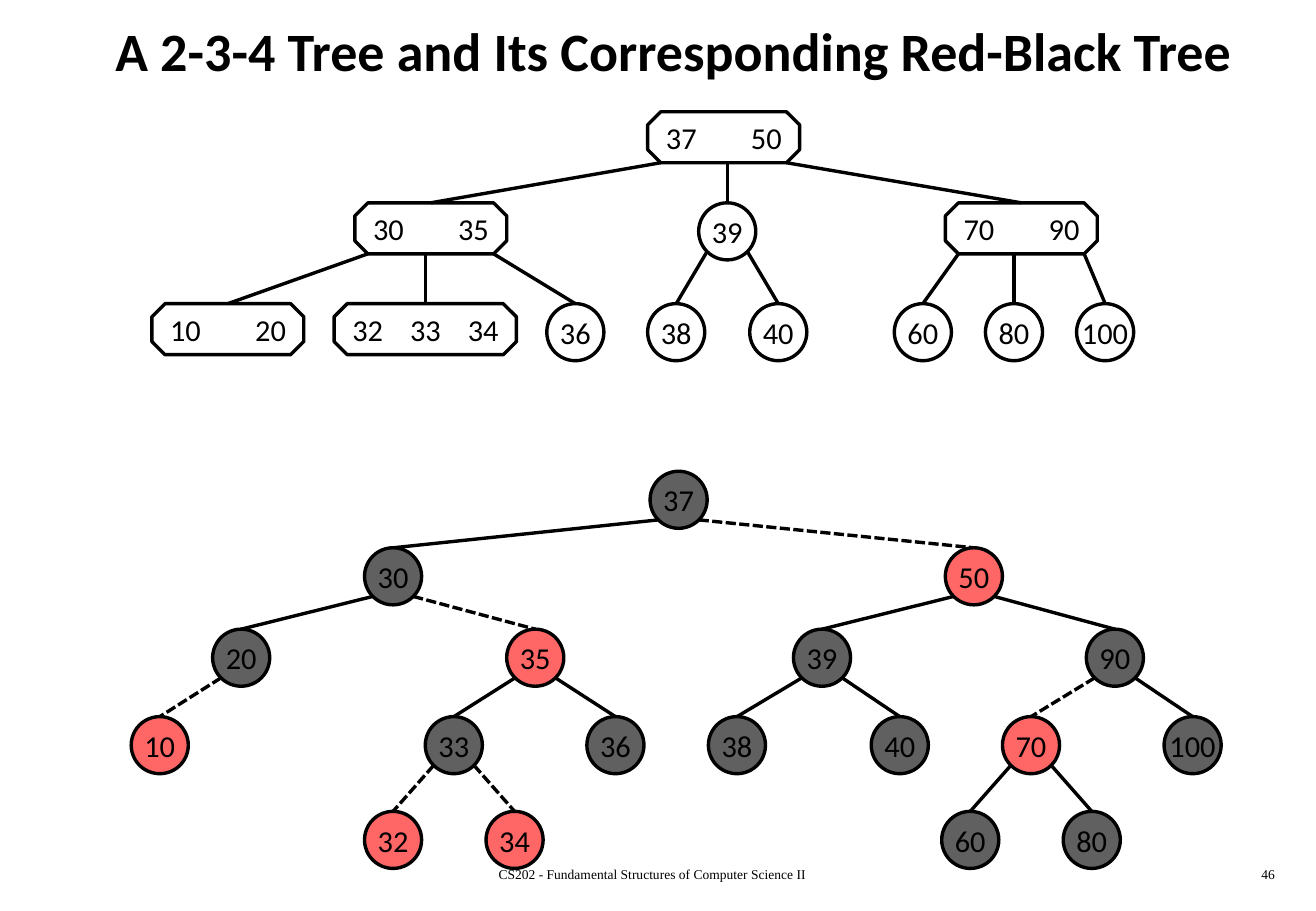
from dataclasses import dataclass

from lxml.etree import SubElement
from pptx import Presentation
from pptx.dml.color import RGBColor
from pptx.enum.dml import MSO_LINE
from pptx.enum.shapes import MSO_CONNECTOR, MSO_SHAPE
from pptx.enum.text import MSO_ANCHOR, MSO_AUTO_SIZE, PP_ALIGN
from pptx.oxml.ns import qn
from pptx.oxml.xmlchemy import OxmlElement
from pptx.slide import Slide
from pptx.text.text import _Paragraph as Para
from pptx.util import Inches, Pt


@dataclass(frozen=True)
class Theme:
    ink: RGBColor = RGBColor(0, 0, 0)
    white: RGBColor = RGBColor(255, 255, 255)
    black: RGBColor = RGBColor(0x60, 0x60, 0x60)
    red: RGBColor = RGBColor(0xFF, 0x66, 0x66)
    sans: str = "Calibri"
    serif: str = "Times New Roman"
    head: int = 32
    key: int = 18
    foot: int = 8
    line: int = 2


THEME = Theme()
DISC = 0.47        # circle diameter
BOX = 0.42         # octagon height
CUT = 0.257        # octagon corner, as a share of its height
PAD = 0.15         # octagon edge to its first key
DIGITS = 0.25      # width of a two-digit key


@dataclass(frozen=True)
class Node:
    keys: tuple[int, ...]
    left: float
    fill: RGBColor = THEME.white
    kids: tuple["Node", ...] = ()

    @property
    def wide(self) -> bool:
        return len(self.keys) > 1

    @property
    def width(self) -> float:
        return 0.75 + 0.25 * len(self.keys) if self.wide else DISC

    @property
    def height(self) -> float:
        return BOX if self.wide else DISC

    @property
    def mid(self) -> float:
        return self.left + self.width / 2

    def port(self, kid: "Node") -> tuple[float, float]:
        """Edge start: x over the kid, held within the lower corners; y below the top."""
        inset = CUT * BOX if self.wide else 0.07
        low, high = self.left + inset, self.left + self.width - inset
        drop = BOX if self.wide else DISC - inset
        return min(max(kid.mid, low), high), drop


def black(key: int, left: float, *kids: Node) -> Node:
    return Node((key,), left, THEME.black, kids)


def red(key: int, left: float, *kids: Node) -> Node:
    return Node((key,), left, THEME.red, kids)


def leaf(key: int, left: float) -> Node:
    return Node((key,), left)


def multi(keys: tuple[int, ...], left: float, *kids: Node) -> Node:
    return Node(keys, left, kids=kids)


TREE_234 = multi(
    (37, 50), 5.33,
    multi((30, 35), 2.92,
          multi((10, 20), 1.25), multi((32, 33, 34), 2.75), leaf(36, 4.5)),
    Node((39,), 5.75, kids=(leaf(38, 5.33), leaf(40, 6.17))),
    multi((70, 90), 7.78, leaf(60, 7.36), leaf(80, 8.11), leaf(100, 8.86)),
)
RED_BLACK = black(
    37, 5.35,
    black(30, 3,
          black(20, 1.75, red(10, 1.08)),
          red(35, 4.17,
              black(33, 3.5, red(32, 3), red(34, 4)),
              black(36, 4.83))),
    red(50, 7.78,
        black(39, 6.53, black(38, 5.83), black(40, 7.17)),
        black(90, 8.94,
              red(70, 8.25, black(60, 7.75), black(80, 8.75)),
              black(100, 9.58))),
)
ROWS_234 = (0.92, 1.67, 2.5)
ROWS_RB = (3.88, 4.51, 5.18, 5.9, 6.68)


def style(para: Para, face: str, size: int, align: PP_ALIGN, bold: bool = False) -> None:
    para.alignment = align
    para.font.name, para.font.size, para.font.bold = face, Pt(size), bold
    para.font.color.rgb = THEME.ink


def add_tabs(para: Para, step: float, count: int) -> None:
    tabs = OxmlElement("a:tabLst")
    for spot in range(1, count + 1):
        SubElement(tabs, qn("a:tab"), pos=str(Inches(step * spot)), algn="l")
    para._p.get_or_add_pPr().insert(0, tabs)


def draw_edge(slide: Slide, start: tuple[float, float], end: tuple[float, float],
              dash: bool) -> None:
    edge = slide.shapes.add_connector(
        MSO_CONNECTOR.STRAIGHT, *map(Inches, start), *map(Inches, end))
    edge.line.color.rgb, edge.line.width = THEME.ink, Pt(THEME.line)
    if dash:
        edge.line.dash_style = MSO_LINE.SQUARE_DOT
    SubElement(edge._element.spPr, qn("a:effectLst"))


def draw_node(slide: Slide, node: Node, top: float) -> None:
    kind = MSO_SHAPE.OCTAGON if node.wide else MSO_SHAPE.OVAL
    shape = slide.shapes.add_shape(
        kind, *map(Inches, (node.left, top, node.width, node.height)))
    shape.shadow.inherit = False
    shape.line.color.rgb, shape.line.width = THEME.ink, Pt(THEME.line)
    frame = shape.text_frame
    frame.margin_left = frame.margin_right = 0
    frame.margin_top = frame.margin_bottom = 0
    frame.vertical_anchor = MSO_ANCHOR.MIDDLE
    frame.word_wrap = node.wide
    para = frame.paragraphs[0]
    para.text = "\t".join(map(str, node.keys))
    style(para, THEME.sans, THEME.key, PP_ALIGN.LEFT if node.wide else PP_ALIGN.CENTER)
    if node.wide:
        shape.adjustments[0] = CUT
        shape.fill.background()
        frame.margin_left = Inches(PAD - CUT * BOX / 2)
        gaps = len(node.keys) - 1
        add_tabs(para, (node.width - 2 * PAD - DIGITS) / gaps, gaps)
    else:
        shape.fill.solid()
        shape.fill.fore_color.rgb = node.fill


def draw_tree(slide: Slide, node: Node, rows: tuple[float, ...]) -> None:
    """Draw a node and all below it; an edge to a red node is dashed."""
    top, *rest = rows
    for kid in node.kids:
        x, drop = node.port(kid)
        draw_edge(slide, (x, top + drop), (kid.mid, rest[0]), kid.fill == THEME.red)
        draw_tree(slide, kid, tuple(rest))
    draw_node(slide, node, top)


def add_title(slide: Slide, text: str) -> None:
    title = slide.shapes.title
    title.left, title.top, title.width, title.height = map(
        Inches, (0.42, 0.08, 10.25, 0.67))
    frame = title.text_frame
    frame.text = text
    frame.word_wrap, frame.auto_size = True, MSO_AUTO_SIZE.NONE
    frame.vertical_anchor = MSO_ANCHOR.MIDDLE
    style(frame.paragraphs[0], THEME.sans, THEME.head, PP_ALIGN.CENTER, True)


def add_foot(slide: Slide, text: str, left: float, width: float, align: PP_ALIGN) -> None:
    box = slide.shapes.add_textbox(*map(Inches, (left, 7.08, width, 0.25)))
    box.text_frame.word_wrap = True
    para = box.text_frame.paragraphs[0]
    para.text = text
    style(para, THEME.serif, THEME.foot, align)


def main() -> None:
    deck = Presentation()
    deck.slide_width, deck.slide_height = Inches(10.83), Inches(7.5)
    slide = deck.slides.add_slide(deck.slide_layouts[5])
    add_title(slide, "A 2-3-4 Tree and Its Corresponding Red-Black Tree")
    draw_tree(slide, TREE_234, ROWS_234)
    draw_tree(slide, RED_BLACK, ROWS_RB)
    add_foot(slide, "CS202 - Fundamental Structures of Computer Science II",
             3.34, 4.06, PP_ALIGN.CENTER)
    add_foot(slide, "46", 8.33, 2.26, PP_ALIGN.RIGHT)
    deck.save("out.pptx")


if __name__ == "__main__":
    main()
